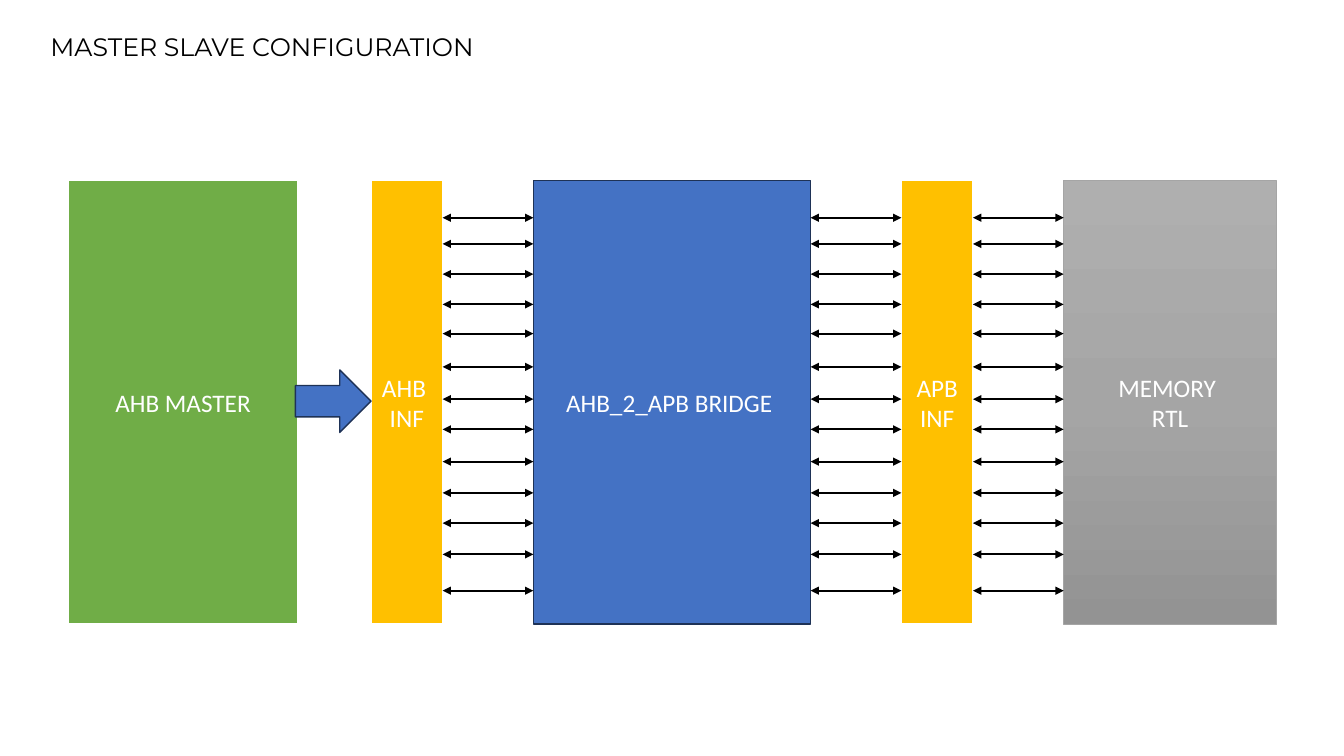
from copy import deepcopy
from dataclasses import dataclass

from lxml import etree
from pptx import Presentation
from pptx.dml.color import RGBColor
from pptx.enum.shapes import MSO_CONNECTOR, MSO_SHAPE
from pptx.enum.text import MSO_ANCHOR, MSO_AUTO_SIZE, PP_ALIGN
from pptx.oxml.ns import qn
from pptx.util import Inches, Pt

RECT, RIGHT_ARROW = MSO_SHAPE.RECTANGLE, MSO_SHAPE.RIGHT_ARROW
STRAIGHT = MSO_CONNECTOR.STRAIGHT
LEFT, CENTER = PP_ALIGN.LEFT, PP_ALIGN.CENTER
TOP, MIDDLE = MSO_ANCHOR.TOP, MSO_ANCHOR.MIDDLE
NO_AUTOFIT = MSO_AUTO_SIZE.NONE
TITLE_ONLY = 5


@dataclass(frozen=True)
class Theme:
    title_font: str = "Montserrat"
    body_font: str = "Calibri"
    size: int = 18
    black: str = "000000"
    white: str = "FFFFFF"
    blue: str = "4472C4"
    navy: str = "1E3256"
    amber: str = "FFC000"
    green: str = "70AD47"
    gray: str = "A5A5A5"
    gray_stops: tuple = ("AFAFAF", "A5A5A5", "939393")


class Diagram:
    def __init__(self, slide, theme):
        self.slide = slide
        self.theme = theme

    def label(self, tf, text, font, color, align, anchor):
        tf.text = text
        tf.word_wrap = True
        tf.vertical_anchor = anchor
        for p in tf.paragraphs:
            p.alignment = align
            for r in p.runs:
                r.font.name = font
                r.font.size = Pt(self.theme.size)
                r.font.color.rgb = RGBColor.from_string(color)

    def title(self, text, left, top, width, height):
        s = self.slide.shapes.title
        s.left, s.top = Inches(left), Inches(top)
        s.width, s.height = Inches(width), Inches(height)
        self.label(s.text_frame, text, self.theme.title_font,
                   self.theme.black, LEFT, TOP)
        s.text_frame.auto_size = NO_AUTOFIT

    def block(self, kind, left, top, width, height, fill, line, weight, text=""):
        s = self.slide.shapes.add_shape(
            kind, Inches(left), Inches(top), Inches(width), Inches(height))
        s.shadow.inherit = False
        if isinstance(fill, tuple):
            self.gradient(s, fill)
        else:
            s.fill.solid()
            s.fill.fore_color.rgb = RGBColor.from_string(fill)
        s.line.color.rgb = RGBColor.from_string(line)
        s.line.width = Pt(weight)
        if text:
            self.label(s.text_frame, text, self.theme.body_font,
                       self.theme.white, CENTER, MIDDLE)

    def gradient(self, s, colors):
        s.fill.gradient()
        s.fill.gradient_angle = 270
        stops = s._element.spPr.find(qn("a:gradFill")).find(qn("a:gsLst"))
        stops.insert(1, deepcopy(stops[0]))
        for i, (stop, color) in enumerate(zip(s.fill.gradient_stops, colors)):
            stop.position = i / (len(colors) - 1)
            stop.color.rgb = RGBColor.from_string(color)

    def signal(self, x1, x2, y):
        c = self.slide.shapes.add_connector(
            STRAIGHT, Inches(x1), Inches(y), Inches(x2), Inches(y))
        c.line.color.rgb = RGBColor.from_string(self.theme.black)
        c.line.width = Pt(1.5)
        ln = c._element.spPr.find(qn("a:ln"))
        for end in ("a:headEnd", "a:tailEnd"):
            etree.SubElement(ln, qn(end), type="triangle")
        etree.SubElement(c._element.spPr, qn("a:effectLst"))


def main():
    prs = Presentation()
    prs.slide_width, prs.slide_height = Inches(13.33), Inches(7.5)
    theme = Theme()
    d = Diagram(prs.slides.add_slide(prs.slide_layouts[TITLE_ONLY]), theme)
    d.title("MASTER SLAVE CONFIGURATION", 0.4, 0.26, 6.66, 0.4)

    blocks = [
        (5.29, 2.75, theme.blue, theme.navy, 1, "AHB_2_APB BRIDGE "),
        (8.94, 0.71, theme.amber, theme.white, 1.5, "APB INF"),
        (3.68, 0.71, theme.amber, theme.white, 1.5, "AHB \nINF"),
        (0.67, 2.29, theme.green, theme.white, 1.5, "AHB MASTER"),
        (10.55, 2.11, theme.gray_stops, theme.gray, 0.5, "MEMORY \nRTL"),
    ]
    for left, width, fill, line, weight, text in blocks:
        d.block(RECT, left, 1.79, width, 4.4, fill, line, weight, text)
    d.block(RIGHT_ARROW, 2.93, 3.67, 0.75, 0.62, theme.blue, theme.navy, 1)

    signal_rows = (2.16, 2.42, 2.72, 3.02, 3.31, 3.64, 3.96,
                   4.26, 4.58, 4.89, 5.19, 5.5, 5.86)
    for bus_left in (4.39, 8.04, 9.65):
        for y in signal_rows:
            d.signal(bus_left, bus_left + 0.9, y)

    prs.save("out.pptx")


if __name__ == "__main__":
    main()
